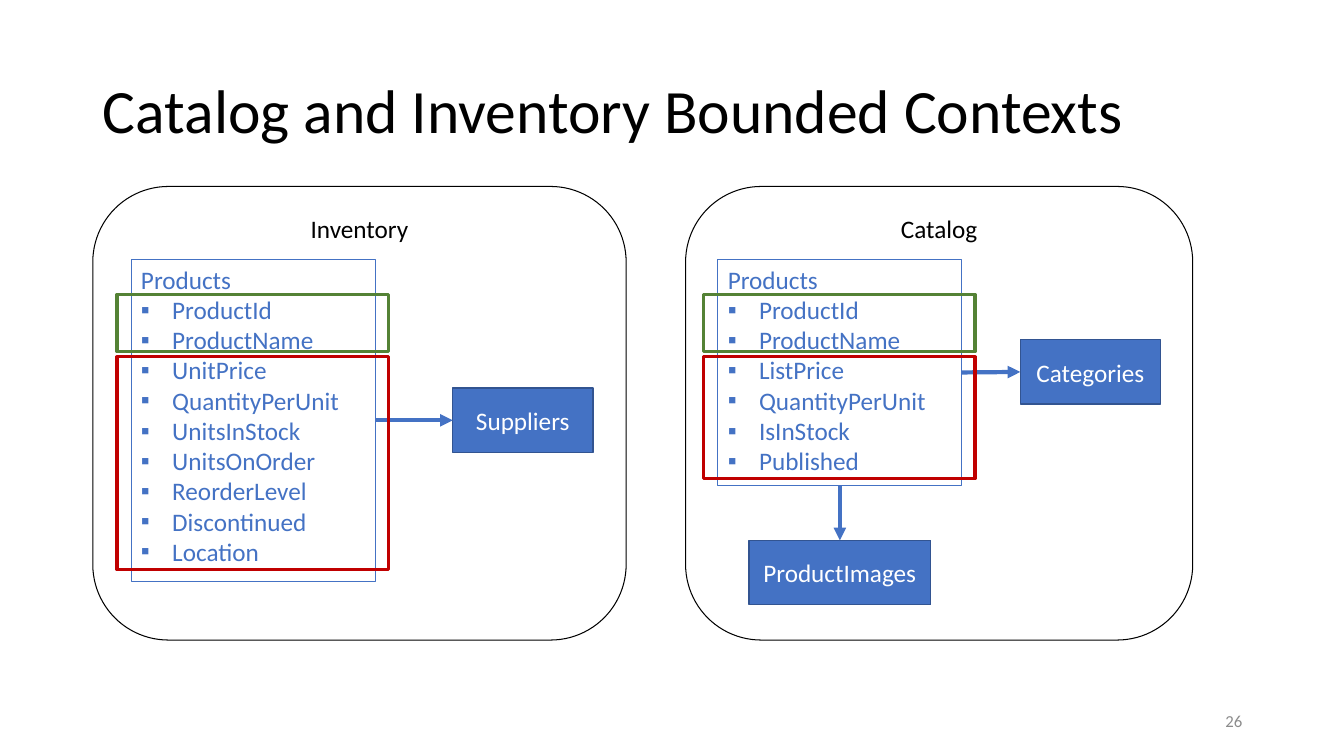
from dataclasses import dataclass

import pptx
import pptx.chart.data
import pptx.dml.color
import pptx.enum.shapes
import pptx.enum.text
import pptx.oxml
import pptx.oxml.ns
import pptx.util
from pptx.util import Inches

SHAPES = pptx.enum.shapes.MSO_SHAPE
ALIGN = pptx.enum.text.PP_ALIGN
ANCHOR = pptx.enum.text.MSO_ANCHOR


@dataclass(frozen=True)
class Theme:
    font: str = "Calibri"
    black: str = "000000"
    white: str = "FFFFFF"
    blue: str = "4472C4"
    dark_blue: str = "325491"
    green: str = "548235"
    red: str = "C00000"
    grey: str = "8C8C8C"
    title_size: int = 44
    body_size: int = 18
    number_size: int = 12
    thin: float = 0.75
    box_line: float = 1
    mark_line: float = 2.25
    arrow_line: float = 3


@dataclass(frozen=True)
class Box:
    left: float
    top: float
    width: float
    height: float


@dataclass(frozen=True)
class Related:
    """An entity that the products point to, and the side the arrow leaves from."""
    name: str
    box: Box
    from_site: int
    to_site: int


@dataclass(frozen=True)
class Context:
    name: str
    frame: Box
    products: Box
    own_fields: tuple[str, ...]
    own_height: float
    related: tuple[Related, ...]


THEME = Theme()
TOP, LEFT, BOTTOM, RIGHT = range(4)
SHARED_FIELDS = ("ProductId", "ProductName")
FIELD_INDENT = Inches(0.31)
MARK_OVERHANG, MARK_WIDTH = 0.14, 2.69
SHARED_TOP, SHARED_HEIGHT, OWN_TOP = 2.92, 0.57, 3.54

CONTEXTS = (
    Context(
        "Inventory", Box(0.92, 1.85, 5.29, 4.5), Box(1.3, 2.57, 2.42, 3.2),
        ("UnitPrice", "QuantityPerUnit", "UnitsInStock", "UnitsOnOrder",
         "ReorderLevel", "Discontinued", "Location"), 2.11,
        (Related("Suppliers", Box(4.49, 3.85, 1.39, 0.64), RIGHT, LEFT),),
    ),
    Context(
        "Catalog", Box(6.8, 1.85, 5.03, 4.5), Box(7.12, 2.57, 2.42, 2.25),
        ("ListPrice", "QuantityPerUnit", "IsInStock", "Published"), 1.21,
        (Related("Categories", Box(10.12, 3.37, 1.39, 0.64), RIGHT, LEFT),
         Related("ProductImages", Box(7.43, 5.36, 1.8, 0.64), BOTTOM, TOP)),
    ),
)


def rgb(color: str) -> pptx.dml.color.RGBColor:
    return pptx.dml.color.RGBColor.from_string(color)


def place(box: Box) -> tuple[int, ...]:
    return tuple(Inches(v) for v in (box.left, box.top, box.width, box.height))


def apply(target, formats: dict) -> None:
    for attribute, value in formats.items():
        setattr(target, attribute, value)


def write(frame, lines: tuple[str, ...], color: str, size: int = THEME.body_size,
          align=ALIGN.LEFT, anchor=ANCHOR.TOP, spacing: float = 1.0) -> None:
    apply(frame, {"word_wrap": True, "vertical_anchor": anchor})
    for index, line in enumerate(lines):
        paragraph = frame.add_paragraph() if index else frame.paragraphs[0]
        apply(paragraph, {"alignment": align, "line_spacing": spacing})
        run = paragraph.add_run()
        run.text = line
        apply(run.font, {"name": THEME.font, "size": pptx.util.Pt(size)})
        run.font.color.rgb = rgb(color)


def add_box(slide, kind, box: Box, line: str, width: float, fill: str | None = None):
    shape = slide.shapes.add_shape(kind, *place(box))
    shape.shadow.inherit = False
    if fill:
        shape.fill.solid()
        shape.fill.fore_color.rgb = rgb(fill)
    else:
        shape.fill.background()
    shape.line.color.rgb = rgb(line)
    shape.line.width = pptx.util.Pt(width)
    return shape


def add_bullet(paragraph) -> None:
    properties = paragraph._p.get_or_add_pPr()
    properties.set("marL", str(FIELD_INDENT))
    properties.set("indent", str(-FIELD_INDENT))
    for tag, key, value in (("a:buFont", "typeface", "Arial"), ("a:buChar", "char", "▪")):
        bullet = pptx.oxml.ns.qn(tag)
        properties.append(properties.makeelement(bullet, {key: value}))


def add_arrow(slide, source, from_site: int, target, to_site: int) -> None:
    arrow = slide.shapes.add_connector(pptx.enum.shapes.MSO_CONNECTOR.STRAIGHT, 0, 0, 0, 0)
    arrow.begin_connect(source, from_site)
    arrow.end_connect(target, to_site)
    arrow.line.color.rgb = rgb(THEME.blue)
    arrow.line.width = pptx.util.Pt(THEME.arrow_line)
    line = arrow.line._get_or_add_ln()
    line.append(line.makeelement(pptx.oxml.ns.qn("a:tailEnd"), {"type": "triangle"}))
    properties = arrow._element.spPr
    properties.append(properties.makeelement(pptx.oxml.ns.qn("a:effectLst"), {}))


def add_context(slide, context: Context) -> None:
    frame = add_box(slide, SHAPES.FLOWCHART_ALTERNATE_PROCESS, context.frame,
                    THEME.black, THEME.thin)
    write(frame.text_frame, (context.name,), THEME.black, align=ALIGN.CENTER)

    products = add_box(slide, SHAPES.FLOWCHART_PROCESS, context.products,
                       THEME.blue, THEME.thin)
    write(products.text_frame, ("Products", *SHARED_FIELDS, *context.own_fields), THEME.blue)
    for field in products.text_frame.paragraphs[1:]:
        add_bullet(field)

    for related in context.related:
        entity = add_box(slide, SHAPES.FLOWCHART_PROCESS, related.box,
                         THEME.dark_blue, THEME.box_line, THEME.blue)
        write(entity.text_frame, (related.name,), THEME.white,
              align=ALIGN.CENTER, anchor=ANCHOR.MIDDLE)
        add_arrow(slide, products, related.from_site, entity, related.to_site)

    mark_left = context.products.left - MARK_OVERHANG
    for top, height, color in ((OWN_TOP, context.own_height, THEME.red),
                               (SHARED_TOP, SHARED_HEIGHT, THEME.green)):
        add_box(slide, SHAPES.RECTANGLE, Box(mark_left, top, MARK_WIDTH, height),
                color, THEME.mark_line)


def main() -> None:
    deck = pptx.Presentation()
    apply(deck, {"slide_width": Inches(13.33), "slide_height": Inches(7.5)})
    slide = deck.slides.add_slide(deck.slide_layouts.get_by_name("Title Only"))

    title = slide.shapes.title
    apply(title, dict(zip(("left", "top", "width", "height"),
                          place(Box(0.92, 0.4, 11.5, 1.45)))))
    write(title.text_frame, ("Catalog and Inventory Bounded Contexts",), THEME.black,
          THEME.title_size, anchor=ANCHOR.MIDDLE, spacing=0.9)

    for context in CONTEXTS:
        add_context(slide, context)

    page_number = slide.shapes.add_textbox(*place(Box(9.42, 6.95, 3, 0.4)))
    write(page_number.text_frame, ("26",), THEME.grey, THEME.number_size,
          ALIGN.RIGHT, ANCHOR.MIDDLE)
    deck.save("out.pptx")


if __name__ == "__main__":
    main()
